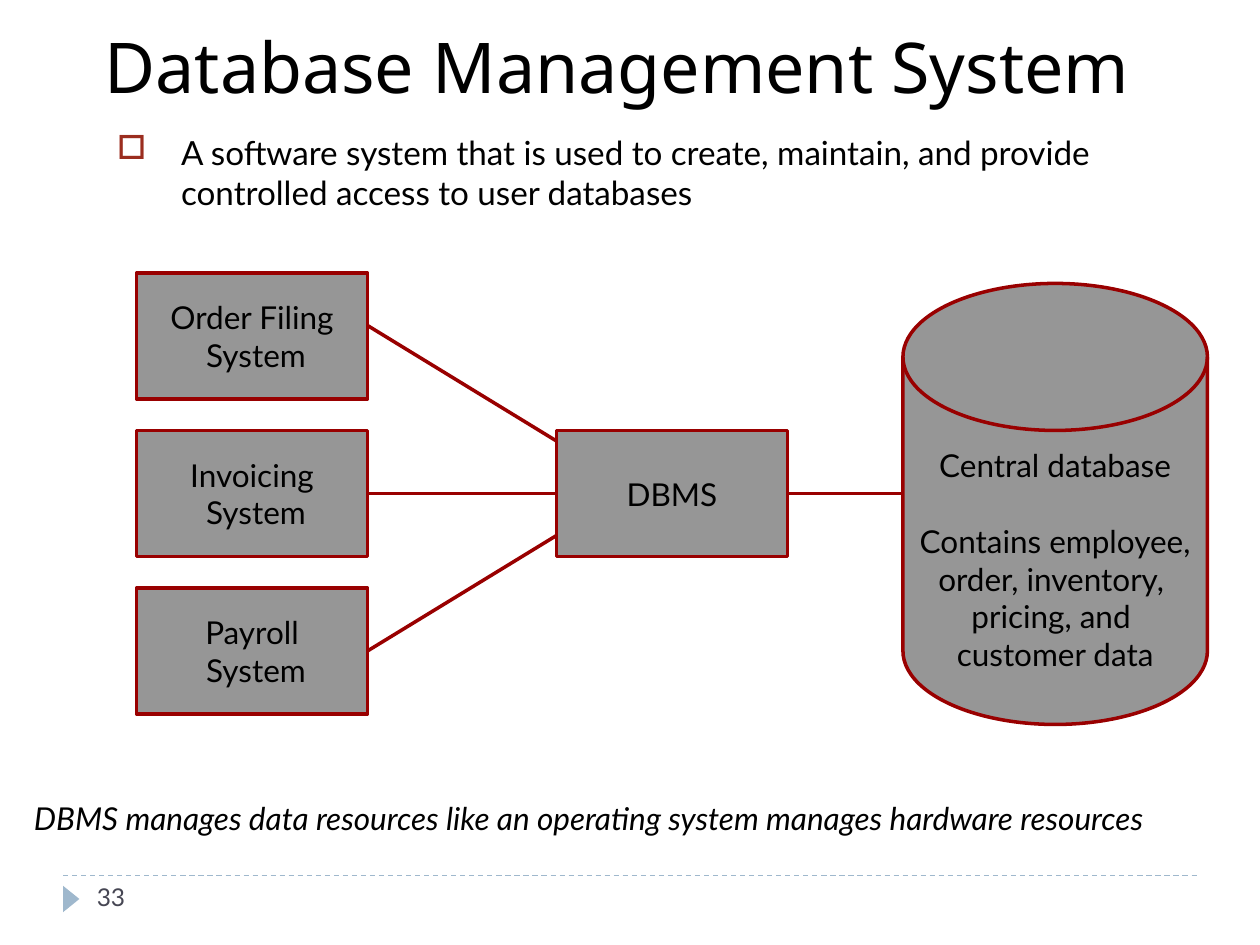
"""Builds the slide that introduces the database management system."""
from dataclasses import dataclass
from typing import NamedTuple

from lxml.etree import SubElement
from pptx import Presentation
from pptx.dml.color import RGBColor
from pptx.enum.dml import MSO_LINE
from pptx.enum.shapes import MSO_CONNECTOR, MSO_SHAPE
from pptx.enum.text import MSO_ANCHOR, PP_ALIGN
from pptx.oxml.ns import qn
from pptx.util import Inches, Pt


@dataclass(frozen=True)
class Theme:
    ink: str = "000000"
    panel: str = "969696"
    outline: str = "990000"
    bullet: str = "9B2D1F"
    footer: str = "9FB8CD"
    number: str = "464653"
    heading_font: str = "Noto Sans"
    body_font: str = "Lato"
    heading: float = 40
    definition: float = 19
    label: float = 18
    small: float = 14
    stroke: float = 2
    hairline: float = 0.75


class Node(NamedTuple):
    column: float
    row: float
    columns: float
    rows: float
    lines: tuple[str, ...]
    kind: MSO_SHAPE = MSO_SHAPE.RECTANGLE
    top_inset: float = 0.05
    gap_after_first: float = 0


class Link(NamedTuple):
    start: tuple[float, float]
    end: tuple[float, float]


THEME = Theme()
CELL = Inches(1) / 12
LABEL_LINE = THEME.label * 1.2

SYSTEMS = [Node(13, 26 + 15 * place, 22, 12, (name, " System"))
           for place, name in enumerate(("Order Filing", "Invoicing", "Payroll"))]
DBMS = Node(53, 41, 22, 12, ("DBMS",))
DATABASE = Node(
    86, 27, 29, 42,
    ("Central database", "Contains employee,", "order, inventory, ", "pricing, and ", "customer data"),
    MSO_SHAPE.FLOWCHART_MAGNETIC_DISK, 0.35, LABEL_LINE)
LINKS = [Link((35, 31), (53, 42)), Link((35, 47), (53, 47)),
         Link((35, 62), (53, 51)), Link((75, 47), (86, 47))]


def cells(count: float) -> int:
    """Turn a count of grid cells into a length."""
    return round(count * CELL)


def write(frame, lines, *, size: float, font: str = THEME.body_font, color: str = THEME.ink,
          italic: bool = False, align=PP_ALIGN.LEFT, anchor=MSO_ANCHOR.TOP, wrap: bool = True,
          insets=(0.1, 0.05, 0.1, 0.05), before: float = 0, gap_after_first: float = 0) -> None:
    """Fill a text frame with formatted paragraphs."""
    frame.word_wrap = wrap
    frame.vertical_anchor = anchor
    (frame.margin_left, frame.margin_top,
     frame.margin_right, frame.margin_bottom) = map(Inches, insets)
    for index, line in enumerate(lines):
        paragraph = frame.add_paragraph() if index else frame.paragraphs[0]
        paragraph.alignment = align
        paragraph.space_before = Pt(gap_after_first if index == 1 else before)
        run = paragraph.add_run()
        run.text = line
        run.font.size = Pt(size)
        run.font.name = font
        run.font.italic = italic
        run.font.color.rgb = RGBColor.from_string(color)


def add_text(slide, left: float, top: float, width: float, height: float, text: str, **style):
    """Add a text box placed in inches and return its frame."""
    frame = slide.shapes.add_textbox(*map(Inches, (left, top, width, height))).text_frame
    write(frame, (text,), **style)
    return frame


def add_bullet(paragraph, mark: str, indent: float) -> None:
    """Give a paragraph a coloured bullet and a hanging indent."""
    properties = paragraph._p.get_or_add_pPr()
    properties.set("marL", str(Inches(indent)))
    properties.set("indent", str(-Inches(indent)))
    tint = SubElement(properties, qn("a:buClr"))
    SubElement(tint, qn("a:srgbClr"), val=THEME.bullet)
    SubElement(properties, qn("a:buChar"), char=mark)


def add_node(slide, node: Node) -> None:
    """Draw one labelled part of the diagram."""
    shape = slide.shapes.add_shape(node.kind, *map(cells, node[:4]))
    shape.shadow.inherit = False
    shape.fill.solid()
    shape.fill.fore_color.rgb = RGBColor.from_string(THEME.panel)
    shape.line.color.rgb = RGBColor.from_string(THEME.outline)
    shape.line.width = Pt(THEME.stroke)
    write(shape.text_frame, node.lines, size=THEME.label, align=PP_ALIGN.CENTER,
          anchor=MSO_ANCHOR.MIDDLE, wrap=False, insets=(0.1, node.top_inset, 0.1, 0.05),
          gap_after_first=node.gap_after_first)


def add_link(slide, link: Link, color: str = THEME.outline, width: float = THEME.stroke):
    """Draw a straight line between two grid points."""
    line = slide.shapes.add_connector(MSO_CONNECTOR.STRAIGHT, *map(cells, link.start + link.end))
    line.line.color.rgb = RGBColor.from_string(color)
    line.line.width = Pt(width)
    SubElement(line._element.spPr, qn("a:effectLst"))
    return line


def add_footer(slide) -> None:
    """Draw the dashed rule, the marker and the page number."""
    rule = add_link(slide, Link((6, 83.4), (114, 83.4)), THEME.footer, THEME.hairline)
    rule.line.dash_style = MSO_LINE.DASH
    marker = slide.shapes.add_shape(MSO_SHAPE.ISOSCELES_TRIANGLE,
                                    *map(Inches, (0.46, 7.07, 0.21, 0.13)))
    marker.rotation = 90
    marker.shadow.inherit = False
    marker.fill.solid()
    marker.fill.fore_color.rgb = RGBColor.from_string(THEME.footer)
    marker.line.fill.background()
    add_text(slide, 0.67, 6.95, 2.17, 0.4, "33", size=THEME.small, color=THEME.number)


def build() -> None:
    """Assemble the slide and save it."""
    deck = Presentation()
    deck.slide_width, deck.slide_height = Inches(10), Inches(7.5)
    slide = deck.slides.add_slide(deck.slide_layouts[6])
    add_footer(slide)
    add_text(slide, 0.78, 0.17, 8.36, 0.71, "Database Management System", size=THEME.heading,
             font=THEME.heading_font, insets=(0.05, 0.02, 0.05, 0.02))
    add_text(slide, 0.17, 6.29, 9.77, 0.4,
             "DBMS manages data resources like an operating system manages hardware resources",
             size=THEME.label, italic=True, before=11.2)
    definition = add_text(
        slide, 0.83, 1, 8.5, 1.5,
        "A software system that is used to create, maintain, and provide "
        "controlled access to user databases", size=THEME.definition, before=4.8)
    add_bullet(definition.paragraphs[0], "□", 0.51)
    for node in (*SYSTEMS, DBMS, DATABASE):
        add_node(slide, node)
    for link in LINKS:
        add_link(slide, link)
    deck.save("out.pptx")


build()
